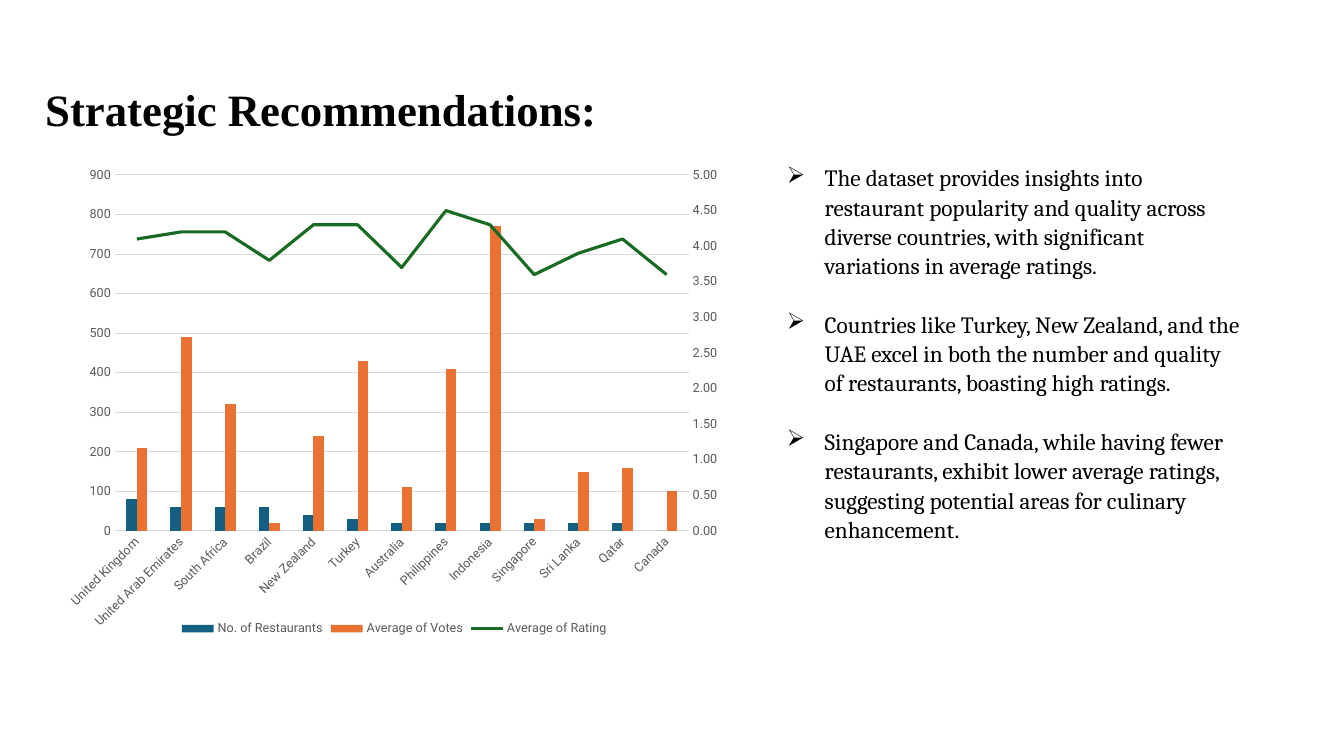
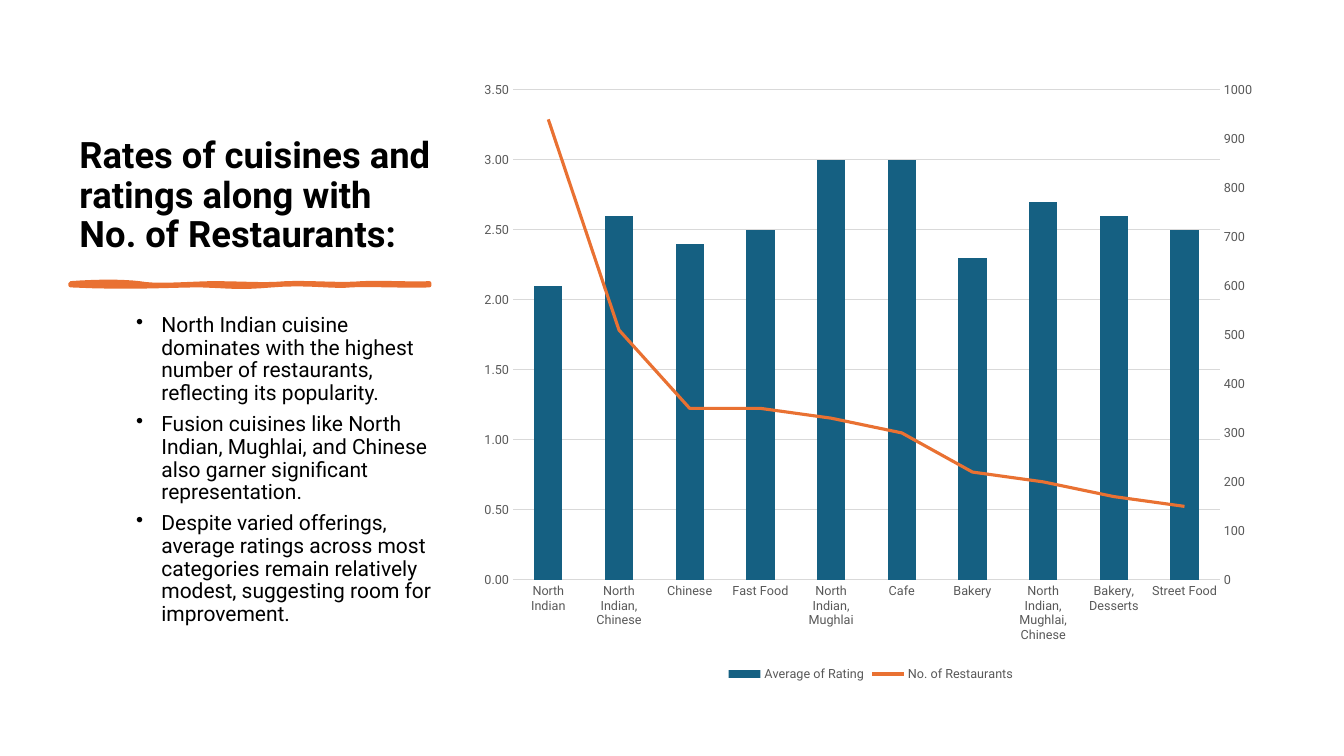
"""Build two restaurant analysis slides, each with a combined column and line chart."""
import copy
from dataclasses import dataclass

import pptx
import pptx.chart.axis
import pptx.chart.data
import pptx.dml.color
import pptx.enum.chart
import pptx.enum.text
import pptx.oxml
import pptx.oxml.ns
import pptx.util

Pt = pptx.util.Pt
RGB = pptx.dml.color.RGBColor.from_string
qn = pptx.oxml.ns.qn
Anchor = pptx.enum.text.MSO_ANCHOR
XL = pptx.enum.chart


@dataclass(frozen=True)
class Theme:
    text: str = "000000"
    muted: str = "595959"
    grid: str = "D9D9D9"
    blue: str = "156082"
    orange: str = "E97132"
    green: str = "196B24"
    sans: str = "Roboto"
    serif: str = "Cambria"
    heading: str = "Times New Roman"
    chart_size: float = 10
    label_size: float = 9
    thin: float = 0.75
    thick: float = 2.25
    brush: float = 3


T = Theme()

SLIDES = [
    {
        "title": {
            "text": "Strategic Recommendations:",
            "box": (25.2, 47.5, 828, 64.8),
            "font": (T.heading, 32),
            "anchor": Anchor.MIDDLE,
        },
        "bullets": {
            "items": [
                "The dataset provides insights into restaurant popularity and quality across diverse countries, with significant variations in average ratings.",
                "Countries like Turkey, New Zealand, and the UAE excel in both the number and quality of restaurants, boasting high ratings.",
                "Singapore and Canada, while having fewer restaurants, exhibit lower average ratings, suggesting potential areas for culinary enhancement.",
            ],
            "box": (555, 112.3, 337.7, 327.6),
            "font": (T.serif, 16.6),
            "mark": ("➢", 27, 27),
            "spacing": 1.05,
            "gap": 21,
        },
        "chart": {
            "box": (39.6, 112.3, 487.4, 366.5),
            "plot": (82, 125, 410, 254.3),
            "legend": (127, 441),
            "cats": ["United Kingdom", "United Arab Emirates", "South Africa", "Brazil",
                     "New Zealand", "Turkey", "Australia", "Philippines", "Indonesia",
                     "Singapore", "Sri Lanka", "Qatar", "Canada"],
            "rotation": -45,
            "gap": 219,
            "left": (900, 100, "General"),
            "right": (5, 0.5, "0.00"),
            "series": [
                ("No. of Restaurants", T.blue,
                 [80, 60, 60, 60, 40, 30, 20, 20, 20, 20, 20, 20, 0]),
                ("Average of Votes", T.orange,
                 [210, 490, 320, 20, 240, 430, 110, 410, 770, 30, 150, 160, 100]),
                ("Average of Rating", T.green,
                 [4.1, 4.2, 4.2, 3.8, 4.3, 4.3, 3.7, 4.5, 4.3, 3.6, 3.9, 4.1, 3.6]),
            ],
        },
    },
    {
        "title": {
            "text": "Rates of cuisines and ratings along with No. of Restaurants:",
            "box": (49.7, 50.4, 270, 135.4),
            "font": (T.sans, 26),
            "anchor": Anchor.BOTTOM,
        },
        "bullets": {
            "items": [
                "North Indian cuisine dominates with the highest number of restaurants, reflecting its popularity.",
                "Fusion cuisines like North Indian, Mughlai, and Chinese also garner significant representation.",
                "Despite varied offerings, average ratings across most categories remain relatively modest, suggesting room for improvement.",
            ],
            "box": (49.7, 221, 270, 268.6),
            "font": (T.sans, 15),
            "mark": ("•", 58.5, 18),
            "spacing": 0.9,
            "gap": 6,
        },
        "chart": {
            "box": (334, 50.4, 576, 439.2),
            "plot": (366.4, 64.3, 505, 350),
            "legend": None,
            "cats": ["North Indian", "North Indian, Chinese", "Chinese", "Fast Food",
                     "North Indian, Mughlai", "Cafe", "Bakery",
                     "North Indian, Mughlai, Chinese", "Bakery, Desserts", "Street Food"],
            "rotation": 0,
            "gap": 150,
            "left": (3.5, 0.5, "0.00"),
            "right": (1000, 100, "General"),
            "series": [
                ("Average of Rating", T.blue,
                 [2.1, 2.6, 2.4, 2.5, 3, 3, 2.3, 2.7, 2.6, 2.5]),
                ("No. of Restaurants", T.orange,
                 [940, 510, 350, 350, 330, 300, 220, 200, 170, 150]),
            ],
        },
        "brush": [
            (50.4, 202.3),
            (69.8, 200.9), (87.1, 200.9), (99.4, 202.3),
            (111.6, 204.5), (127.4, 203), (150.5, 202.3),
            (173.5, 202.3), (187.2, 203.8), (204.5, 202.3),
            (221.8, 201.6), (244.1, 203.8), (258.5, 202.3),
            (272.9, 201.6), (296.6, 203), (306.7, 202.3),
            (306.7, 203), (306.7, 203.8), (306.7, 203.8),
            (293.8, 204.5), (262.1, 203), (250.6, 203.8),
            (239, 205.2), (218.9, 201.6), (194.4, 203.8),
            (169.2, 205.9), (166.3, 204.5), (143.3, 203.8),
            (119.5, 203.8), (95, 205.9), (50.4, 203.8),
            (50.4, 203.8), (50.4, 203), (50.4, 202.3),
        ],
    },
]


def points(values):
    return [Pt(v) for v in values]


def style_font(font, size, name, color, bold=None):
    font.size, font.name, font.bold = Pt(size), name, bold
    font.color.rgb = RGB(color)


def add_box(slide, box, anchor=Anchor.TOP):
    tf = slide.shapes.add_textbox(*points(box)).text_frame
    tf.word_wrap = True
    tf.vertical_anchor = anchor
    return tf


def add_title(slide, title):
    p = add_box(slide, title["box"], title["anchor"]).paragraphs[0]
    p.line_spacing = 0.9
    r = p.add_run()
    r.text = title["text"]
    name, size = title["font"]
    style_font(r.font, size, name, T.text, True)


def add_bullets(slide, bullets):
    tf = add_box(slide, bullets["box"])
    name, size = bullets["font"]
    mark, margin, hang = bullets["mark"]
    for i, item in enumerate(bullets["items"]):
        p = tf.add_paragraph() if i else tf.paragraphs[0]
        pPr = p._p.get_or_add_pPr()
        pPr.set("marL", str(Pt(margin)))
        pPr.set("indent", str(-Pt(hang)))
        pPr.append(xml("a:buChar", char=mark))
        p.line_spacing = bullets["spacing"]
        if i:
            p.space_before = Pt(bullets["gap"])
        r = p.add_run()
        r.text = item
        style_font(r.font, size, name, T.text)


def bezier(p0, p1, p2, p3, steps=8):
    for t in (n / steps for n in range(1, steps + 1)):
        u = 1 - t
        yield tuple(Pt(u**3 * a + 3 * u * u * t * b + 3 * u * t * t * c + t**3 * d)
                    for a, b, c, d in zip(p0, p1, p2, p3))


def add_brush(slide, nodes):
    fb = slide.shapes.build_freeform(*points(nodes[0]), scale=1.0)
    for i in range(0, len(nodes) - 1, 3):
        fb.add_line_segments(bezier(*nodes[i:i + 4]), close=False)
    fb.add_line_segments([], close=True)
    sp = fb.convert_to_shape()
    sp.shadow.inherit = False
    sp.fill.solid()
    sp.fill.fore_color.rgb = RGB(T.orange)
    sp.line.color.rgb = RGB(T.orange)
    sp.line.width = Pt(T.brush)


def xml(tag, *children, **attrs):
    el = pptx.oxml.parse_xml(f"<{tag} {pptx.oxml.ns.nsdecls(tag.split(':')[0])}/>")
    for key, value in attrs.items():
        el.set(key, str(value))
    el.extend(children)
    return el


def drop(parent, tag):
    for el in parent.findall(qn(tag)):
        parent.remove(el)


def layout(chart_box, left, top, width=None, height=None):
    x, y, w, h = chart_box
    parts = [xml("c:xMode", val="edge"), xml("c:yMode", val="edge"),
             xml("c:x", val=(left - x) / w), xml("c:y", val=(top - y) / h)]
    if width:
        parts.insert(0, xml("c:layoutTarget", val="inner"))
        parts += [xml("c:w", val=width / w), xml("c:h", val=height / h)]
    return xml("c:layout", xml("c:manualLayout", *parts))


def style_axis(axis):
    axis.major_tick_mark = axis.minor_tick_mark = XL.XL_TICK_MARK.NONE
    style_font(axis.tick_labels.font, T.label_size, T.sans, T.muted)


def style_line(line, color, width):
    line.color.rgb = RGB(color)
    line.width = Pt(width)


def scale_axis(axis, top, step, number_format):
    axis.minimum_scale, axis.maximum_scale, axis.major_unit = 0, top, step
    axis.tick_labels.number_format = number_format
    axis.tick_labels.number_format_is_linked = False


def move_last_to_line(plot_area, right_scale):
    bars = plot_area.find(qn("c:barChart"))
    ser = bars.findall(qn("c:ser"))[-1]
    drop(ser, "c:invertIfNegative")
    ids = {"c:catAx": "50010", "c:valAx": "50020"}
    bars.addnext(xml("c:lineChart", xml("c:grouping", val="standard"),
                     xml("c:varyColors", val=0), ser, xml("c:marker", val=1),
                     *[xml("c:axId", val=v) for v in ids.values()]))
    last = plot_area.find(qn("c:valAx"))
    twins = []
    for tag, cross in (("c:valAx", "c:catAx"), ("c:catAx", "c:valAx")):
        twin = copy.deepcopy(plot_area.find(qn(tag)))
        twin.find(qn("c:axId")).set("val", ids[tag])
        twin.find(qn("c:crossAx")).set("val", ids[cross])
        last.addnext(twin)
        last = twin
        twins.append(twin)
    val, cat = twins
    val.find(qn("c:axPos")).set("val", "r")
    val.find(qn("c:crosses")).set("val", "max")
    right = pptx.chart.axis.ValueAxis(val)
    right.has_major_gridlines = False
    scale_axis(right, *right_scale)
    pptx.chart.axis.CategoryAxis(cat).visible = False


def add_combo(slide, spec):
    data = pptx.chart.data.CategoryChartData()
    data.categories = spec["cats"]
    for name, _, values in spec["series"]:
        data.add_series(name, values)
    chart = slide.shapes.add_chart(XL.XL_CHART_TYPE.COLUMN_CLUSTERED,
                                   *points(spec["box"]), data).chart
    chart.has_title = False
    style_font(chart.font, T.chart_size, T.sans, T.text)
    cat, val = chart.category_axis, chart.value_axis
    for axis in (cat, val):
        style_axis(axis)
    style_line(cat.format.line, T.grid, T.thin)
    cat._element.find(qn("c:txPr")).find(qn("a:bodyPr")).set(
        "rot", str(spec["rotation"] * 60000))
    val.format.line.fill.background()
    val.has_major_gridlines = True
    style_line(val.major_gridlines.format.line, T.grid, T.thin)
    scale_axis(val, *spec["left"])
    plot_area = cat._element.getparent()
    drop(val._element, "c:crossBetween")
    val._element.find(qn("c:crosses")).addnext(xml("c:crossBetween", val="between"))
    move_last_to_line(plot_area, spec["right"])
    drop(plot_area, "c:layout")
    plot_area.insert(0, layout(spec["box"], *spec["plot"]))

    bars, lines = chart.plots
    bars.gap_width, bars.overlap, bars.vary_by_categories = spec["gap"], 0, False
    for series, (_, color, _) in zip(bars.series, spec["series"]):
        series.format.fill.solid()
        series.format.fill.fore_color.rgb = RGB(color)
    line = lines.series[0]
    line.smooth = False
    line.marker.style = XL.XL_MARKER_STYLE.NONE
    style_line(line.format.line, spec["series"][-1][1], T.thick)

    chart.has_legend = True
    legend = chart.legend
    legend.position = XL.XL_LEGEND_POSITION.BOTTOM
    legend.include_in_layout = False
    style_font(legend.font, T.label_size, T.sans, T.muted)
    if spec["legend"]:
        drop(legend._element, "c:layout")
        legend._element.find(qn("c:legendPos")).addnext(
            layout(spec["box"], *spec["legend"]))


def main():
    prs = pptx.Presentation()
    prs.slide_width, prs.slide_height = Pt(960), Pt(540)
    for content in SLIDES:
        s = prs.slides.add_slide(prs.slide_layouts[6])
        add_title(s, content["title"])
        if "brush" in content:
            add_brush(s, content["brush"])
        add_bullets(s, content["bullets"])
        add_combo(s, content["chart"])
    prs.save("out.pptx")


if __name__ == "__main__":
    main()
